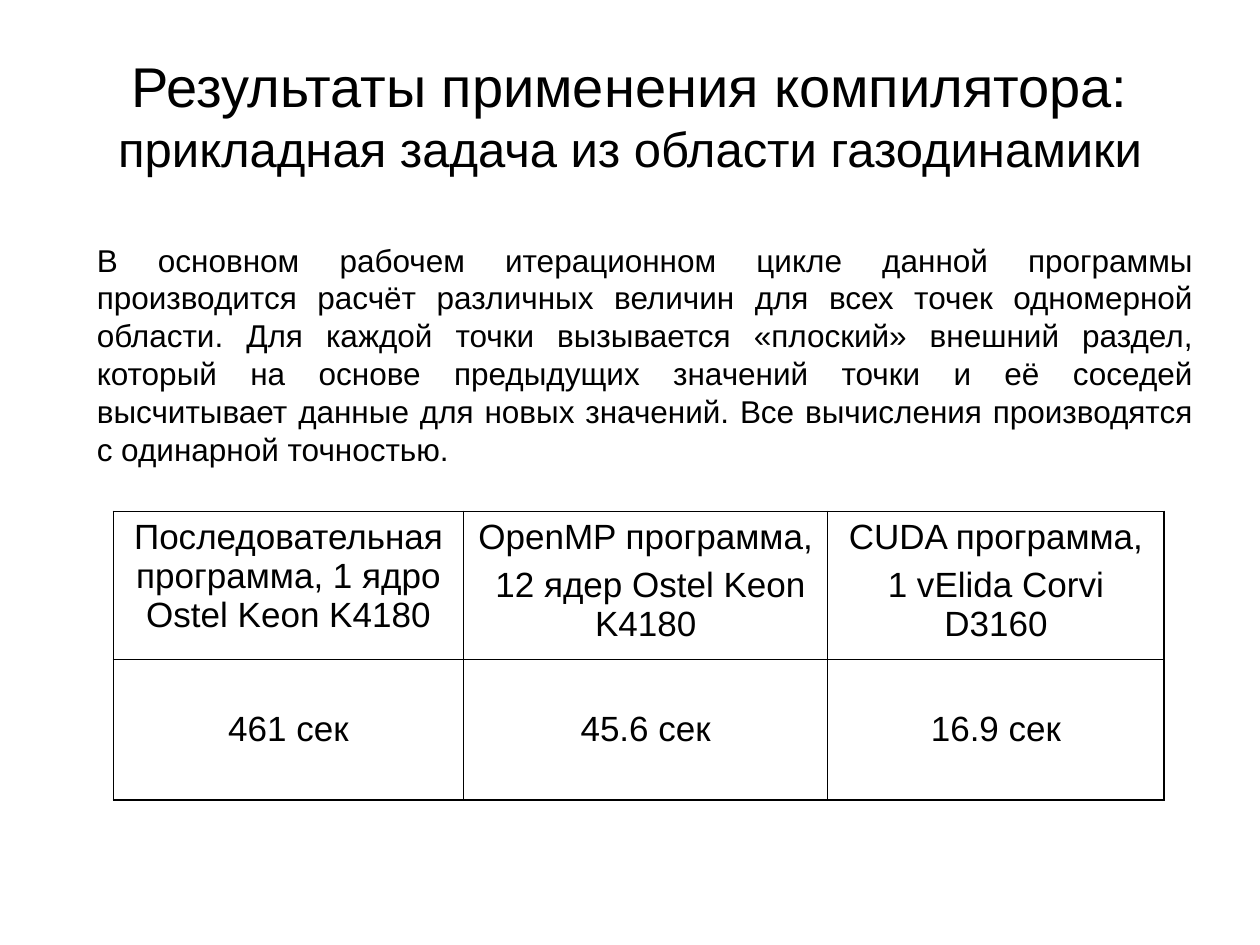
"""Build a slide with compiler results for a gas dynamics task."""
from lxml.etree import SubElement
from pptx import Presentation
from pptx.dml.color import RGBColor
from pptx.enum.text import MSO_ANCHOR as Anchor, PP_ALIGN as Align
from pptx.oxml.ns import qn
from pptx.util import Inches, Pt

BLACK = "000000"
COLUMN_WIDTHS = [2.78, 2.89, 2.67]
ROW_HEIGHTS = [1.17, 1.12]
RESULTS = [
    [["Последовательная программа, 1 ядро Ostel Keon K4180"],
     ["OpenMP программа,", " 12 ядер Ostel Keon K4180"],
     ["CUDA программа,", "1 vElida Corvi D3160"]],
    [["461 сек"], ["45.6 сек"], ["16.9 сек"]],
]


def add_span(para, text, size, color=BLACK):
    span = para.add_run()
    span.text = text
    span.font.name = "Arial"
    span.font.size = Pt(size)
    span.font.color.rgb = RGBColor.from_string(color)


def add_border(cell, side, width, color=BLACK):
    line = SubElement(cell._tc.get_or_add_tcPr(), qn(f"a:ln{side}"), w=str(Pt(width)))
    fill = SubElement(line, qn("a:solidFill"))
    SubElement(fill, qn("a:srgbClr"), val=color)


deck = Presentation()
deck.slide_width, deck.slide_height = Inches(10), Inches(7.5)
page = deck.slides.add_slide(deck.slide_layouts[6])

title_box = page.shapes.add_textbox(Inches(0.75), Inches(0.28), Inches(8.5), Inches(1.25))
title_box.text_frame.word_wrap = True
title_box.text_frame.vertical_anchor = Anchor.MIDDLE
para = title_box.text_frame.paragraphs[0]
para.alignment = Align.CENTER
add_span(para, "Результаты применения компилятора: ", 32)
add_span(para, "прикладная задача из области газодинамики", 28)

body_box = page.shapes.add_textbox(Inches(0), Inches(1.86), Inches(9.57), Inches(1.98))
body_box.text_frame.word_wrap = True
para = body_box.text_frame.paragraphs[0]
para.alignment = Align.JUSTIFY
para.space_before = Pt(4.5)
indent = Inches(0.67)
para._p.get_or_add_pPr().set("marL", str(indent))
para._p.get_or_add_pPr().set("indent", str(-indent))
add_span(
    para,
    "\tВ основном рабочем итерационном цикле данной программы производится расчёт "
    "различных величин для всех точек одномерной области. Для каждой точки вызывается "
    "«плоский» внешний раздел, который на основе предыдущих значений точки и её соседей "
    "высчитывает данные для новых значений. Все вычисления производятся с одинарной "
    "точностью.",
    18,
)

frame = page.shapes.add_table(
    len(ROW_HEIGHTS), len(COLUMN_WIDTHS), Inches(0.9), Inches(4.06),
    Inches(sum(COLUMN_WIDTHS)), Inches(sum(ROW_HEIGHTS)))
table = frame.table
table.first_row = table.horz_banding = False
for column, width in zip(table.columns, COLUMN_WIDTHS):
    column.width = Inches(width)
for row, height in zip(table.rows, ROW_HEIGHTS):
    row.height = Inches(height)

last_row, last_column = len(ROW_HEIGHTS) - 1, len(COLUMN_WIDTHS) - 1
for r, row_texts in enumerate(RESULTS):
    for c, lines in enumerate(row_texts):
        cell = table.cell(r, c)
        cell.vertical_anchor = Anchor.MIDDLE if r else Anchor.TOP
        outer_sides = {"L": c == 0, "R": c == last_column, "T": r == 0, "B": r == last_row}
        for side, is_outer in outer_sides.items():
            add_border(cell, side, 1.08 if is_outer else 0.45)
        cell.fill.background()
        for i, text in enumerate(lines):
            para = cell.text_frame.add_paragraph() if i else cell.text_frame.paragraphs[0]
            para.alignment = Align.CENTER
            para.space_before = Pt(5)
            add_span(para, text, 20)

deck.save("out.pptx")
